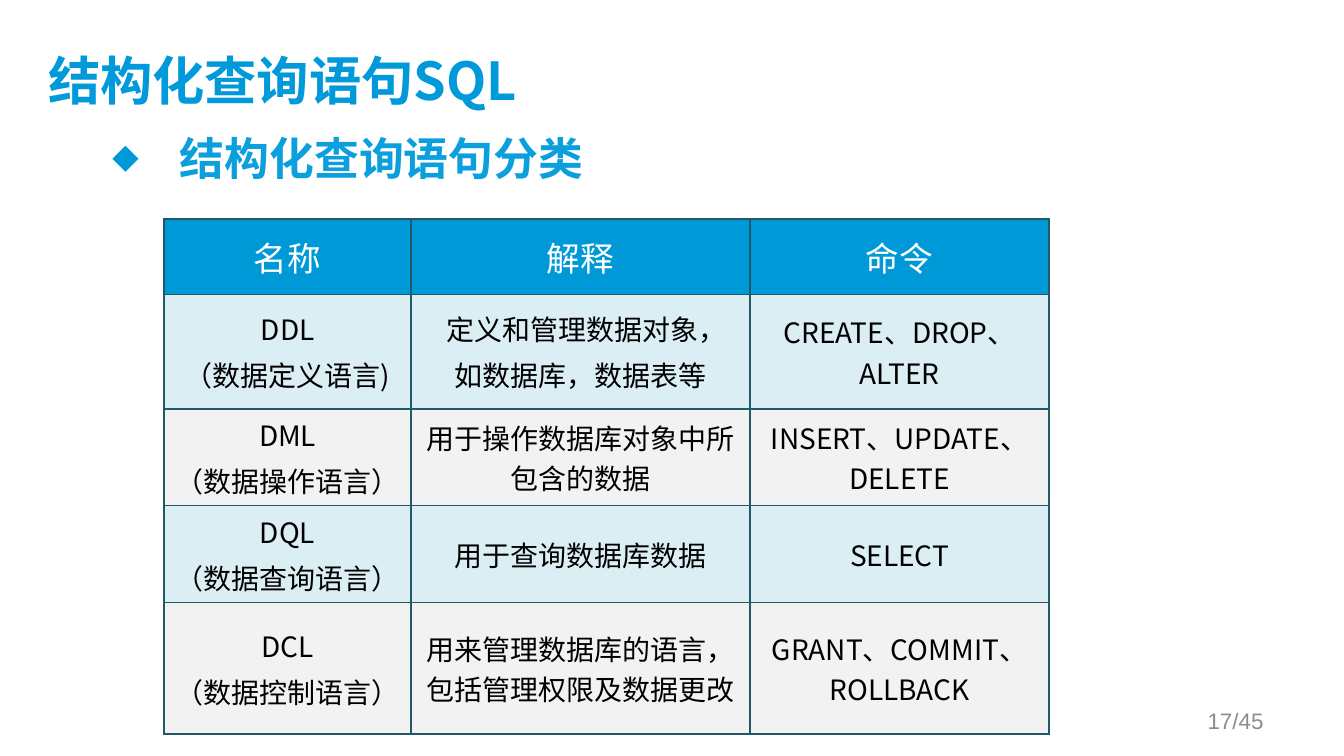
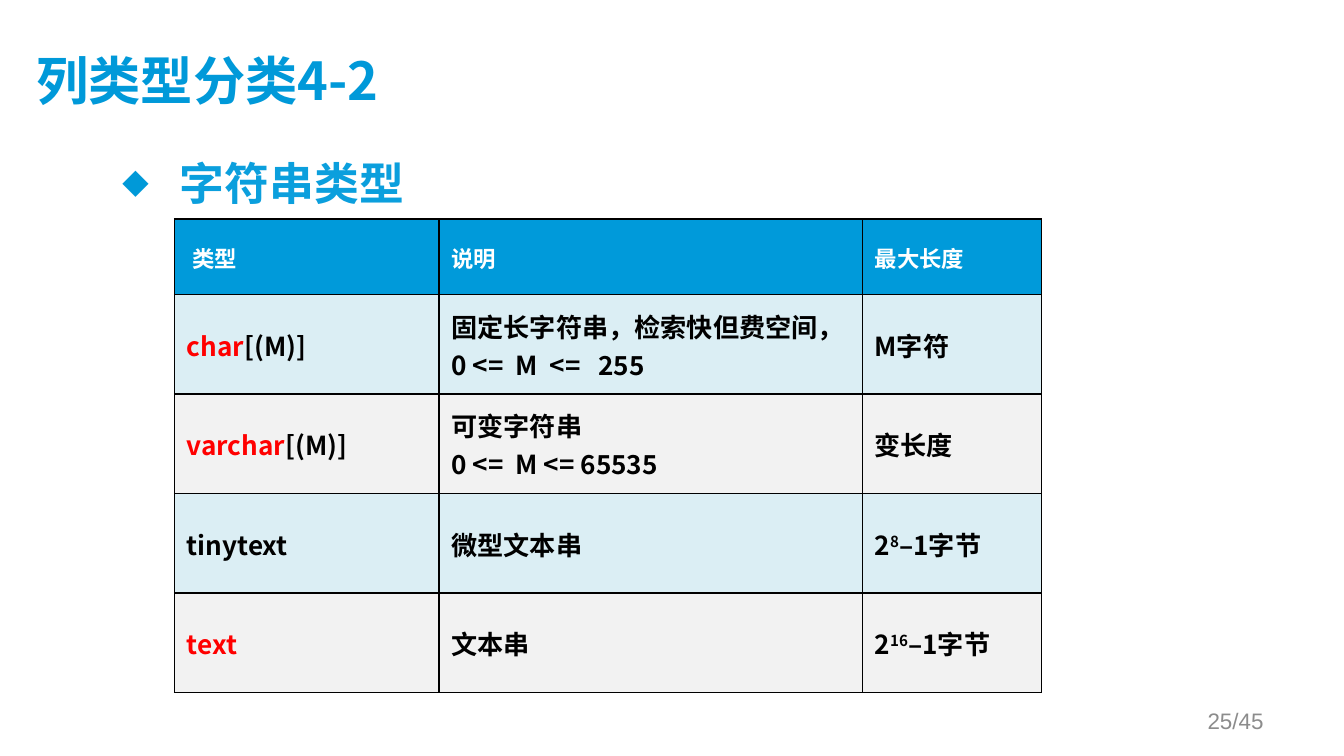
from lxml import etree
from pptx import Presentation
from pptx import util as u
from pptx.dml.color import RGBColor
from pptx.enum import text
from pptx.oxml import parse_xml
from pptx.oxml.ns import qn

NS = 'xmlns:a="http://schemas.openxmlformats.org/drawingml/2006/main"'
CJK = "Noto Sans CJK SC"
C = {"title": "0099D9", "heading": "0B9FDD", "bullet": "0099D8",
     "page": "8C8C8C", "white": "FFFFFF", "black": "000000", "red": "FF0000",
     "blue_row": "DBEEF4", "grey_row": "F2F2F2"}
LEFT, CENTER, RIGHT = text.PP_ALIGN.LEFT, text.PP_ALIGN.CENTER, text.PP_ALIGN.RIGHT
MIDDLE = text.MSO_ANCHOR.MIDDLE
BULLET_OFFSET = 0.18


def write(tf, paragraphs, size, color, bold=False, font=CJK, **para):
    """Each paragraph is a string or a list of (string, colour, baseline) runs."""
    for i, runs in enumerate(paragraphs):
        p = tf.paragraphs[0] if i == 0 else tf.add_paragraph()
        for name, value in para.items():
            setattr(p, name, value)
        if isinstance(runs, str):
            runs = [(runs, color, 0)]
        for words, run_color, baseline in runs:
            r = p.add_run()
            r.text = words
            for name, value in {"size": u.Pt(size), "bold": bold, "name": font}.items():
                setattr(r.font, name, value)
            r.font.color.rgb = RGBColor.from_string(C[run_color])
            rPr = r.font._element
            etree.SubElement(rPr, qn("a:ea")).set("typeface", font)
            if baseline:
                rPr.set("baseline", str(baseline))


def max_bytes(power):
    return [[("2", "black", 0), (power, "black", 30000), ("–1字节", "black", 0)]]


slides = [
    {"title": "结构化查询语句SQL", "title_inset": 0.22,
     "heading": "结构化查询语句分类", "heading_at": (1.7, 2.34), "text_indent": 1.45,
     "page": "17/45",
     "table_at": (3.1, 4.14), "cols": (4.67, 6.4, 5.66), "rows": (1.42, 2.16, 1.83, 1.83, 2.48),
     "head_fill": "0099D8", "border": "215968", "insets": (0.2, 0.1, 0.2, 0.1),
     "sizes": (18, 15), "bold": False, "align": CENTER, "before": 0.2,
     "paragraph_shift": {(1, 1): 0.24}, "cell_shift": {},
     "cells": [
         [["名称"], ["解释"], ["命令"]],
         [["DDL", "（数据定义语言)"], ["定义和管理数据对象，", "如数据库，数据表等"],
          ["CREATE、DROP、ALTER"]],
         [["DML", "（数据操作语言）"], ["用于操作数据库对象中所包含的数据"],
          ["INSERT、UPDATE、DELETE"]],
         [["DQL", "（数据查询语言）"], ["用于查询数据库数据"], ["SELECT"]],
         [["DCL", "（数据控制语言）"], ["用来管理数据库的语言，包括管理权限及数据更改"],
          ["GRANT、COMMIT、ROLLBACK"]],
     ]},
    {"title": "列类型分类4-2", "title_inset": 0,
     "heading": "字符串类型", "heading_at": (1.88, 2.82), "text_indent": 1.27,
     "page": "25/45",
     "table_at": (3.3, 4.14), "cols": (5, 8, 3.38), "rows": (1.42, 1.88, 1.88, 1.88, 1.88),
     "head_fill": "009ADA", "border": "000000", "insets": (0.23, 0.02, 0.02, 0),
     "sizes": (12, 14), "bold": True, "align": LEFT, "before": 0,
     "paragraph_shift": {}, "cell_shift": {(0, 0): 0.1},
     "cells": [
         [["类型"], ["说明"], ["最大长度"]],
         [[[("char", "red", 0), ("[(M)]", "black", 0)]],
          ["固定长字符串，检索快但费空间， 0 <=  M  <=   255"], ["M字符"]],
         [[[("varchar", "red", 0), ("[(M)]", "black", 0)]],
          ["可变字符串", "0 <=  M <= 65535"], ["变长度"]],
         [["tinytext"], ["微型文本串"], max_bytes("8")],
         [[[("text", "red", 0)]], ["文本串"], max_bytes("16")],
     ]},
]

prs = Presentation()
prs.slide_width, prs.slide_height = u.Cm(25.4), u.Cm(14.28)

for d in slides:
    s = prs.slides.add_slide(prs.slide_layouts[5])

    # Title
    sp = s.shapes.title
    for name, value in {"left": 0.69, "top": 0.58, "width": 22.73, "height": 1.96}.items():
        setattr(sp, name, u.Cm(value))
    tf = sp.text_frame
    for name, value in {"margin_left": u.Cm(d["title_inset"]), "margin_top": 0,
                        "margin_right": u.Cm(0.25), "margin_bottom": u.Cm(0.13),
                        "vertical_anchor": MIDDLE, "word_wrap": True,
                        "auto_size": text.MSO_AUTO_SIZE.NONE}.items():
        setattr(tf, name, value)
    write(tf, [d["title"]], 28, "title", True, alignment=LEFT)

    # Heading with diamond bullet
    tf = s.shapes.add_textbox(*map(u.Cm, (*d["heading_at"], 21.56, 9.42))).text_frame
    tf.word_wrap = True
    write(tf, [d["heading"]], 24, "heading", True, space_before=u.Pt(4.8))
    pPr = tf.paragraphs[0]._p.get_or_add_pPr()
    pPr.set("marL", str(u.Cm(d["text_indent"])))
    pPr.set("indent", str(u.Cm(BULLET_OFFSET - d["text_indent"])))
    for xml in (f'<a:buClr {NS}><a:srgbClr val="{C["bullet"]}"/></a:buClr>',
                f'<a:buSzPct {NS} val="60000"/>',
                f'<a:buFont {NS} typeface="{CJK}"/>',
                f'<a:buChar {NS} char="◆"/>'):
        pPr.append(parse_xml(xml))

    # Table
    size = (sum(d["cols"]), sum(d["rows"]))
    table = s.shapes.add_table(len(d["rows"]), len(d["cols"]),
                               *map(u.Cm, (*d["table_at"], *size))).table
    table.horz_banding = False
    for col, width in zip(table.columns, d["cols"]):
        col.width = u.Cm(width)
    for row, height in zip(table.rows, d["rows"]):
        row.height = u.Cm(height)
    for i, row in enumerate(d["cells"]):
        size = d["sizes"][min(i, 1)]
        fill = d["head_fill"] if i == 0 else C["blue_row" if i % 2 else "grey_row"]
        for j, paragraphs in enumerate(row):
            cell = table.cell(i, j)
            cell.vertical_anchor = MIDDLE
            for side, inset in zip(("left", "top", "right", "bottom"), d["insets"]):
                setattr(cell, "margin_" + side, u.Cm(inset))
            cell.margin_left += u.Cm(d["cell_shift"].get((i, j), 0))
            cell.fill.solid()
            cell.fill.fore_color.rgb = RGBColor.from_string(fill)
            write(cell.text_frame, paragraphs, size, "black" if i else "white", d["bold"],
                  alignment=d["align"], space_before=u.Pt(size * d["before"]))
            if (i, j) in d["paragraph_shift"]:
                pPr = cell.text_frame.paragraphs[0]._p.get_or_add_pPr()
                pPr.set("marL", str(u.Cm(d["paragraph_shift"][i, j])))
            for k, side in enumerate("LRTB"):
                cell._tc.get_or_add_tcPr().insert(k, parse_xml(
                    f'<a:ln{side} {NS} w="12700"><a:solidFill>'
                    f'<a:srgbClr val="{d["border"]}"/></a:solidFill></a:ln{side}>'))

    # Page number
    tf = s.shapes.add_textbox(*map(u.Cm, (18.21, 13.23, 5.92, 0.76))).text_frame
    tf.word_wrap = True
    tf.vertical_anchor = MIDDLE
    write(tf, [d["page"]], 12, "page", font="Arial", alignment=RIGHT)

prs.save("out.pptx")
